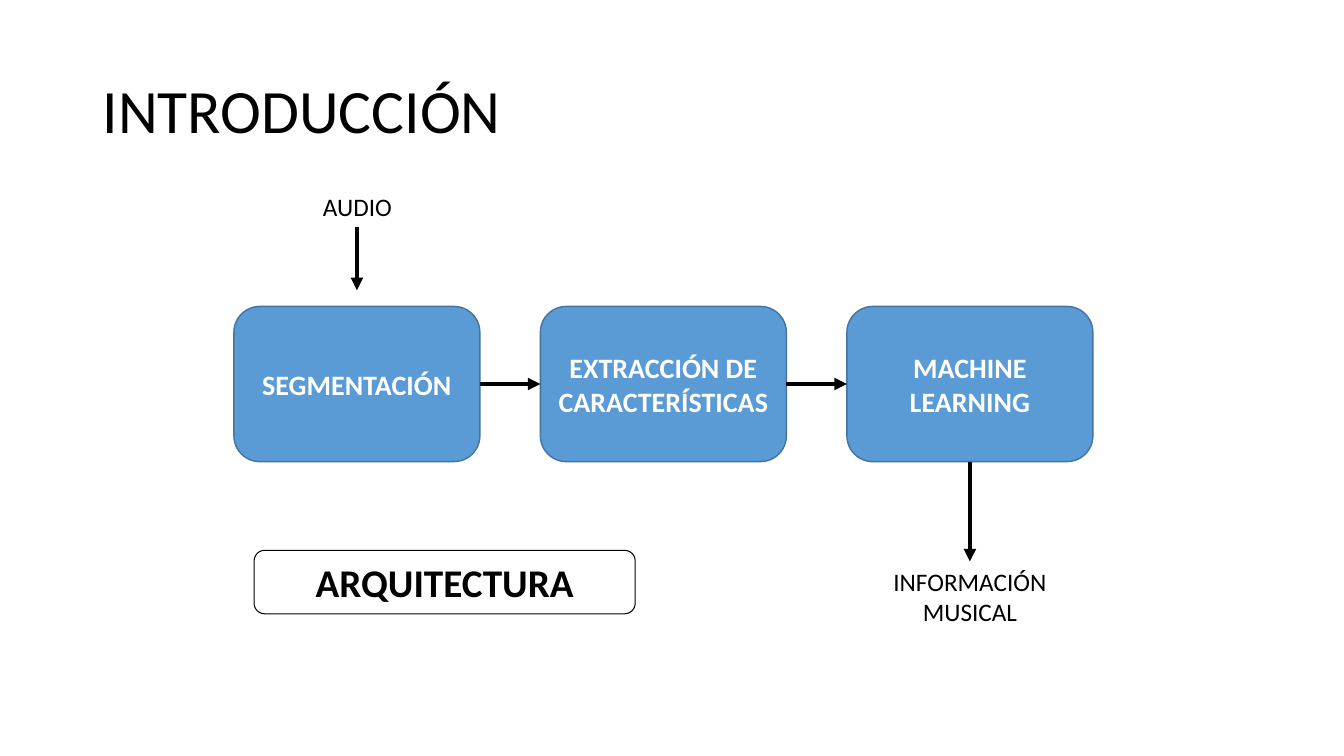
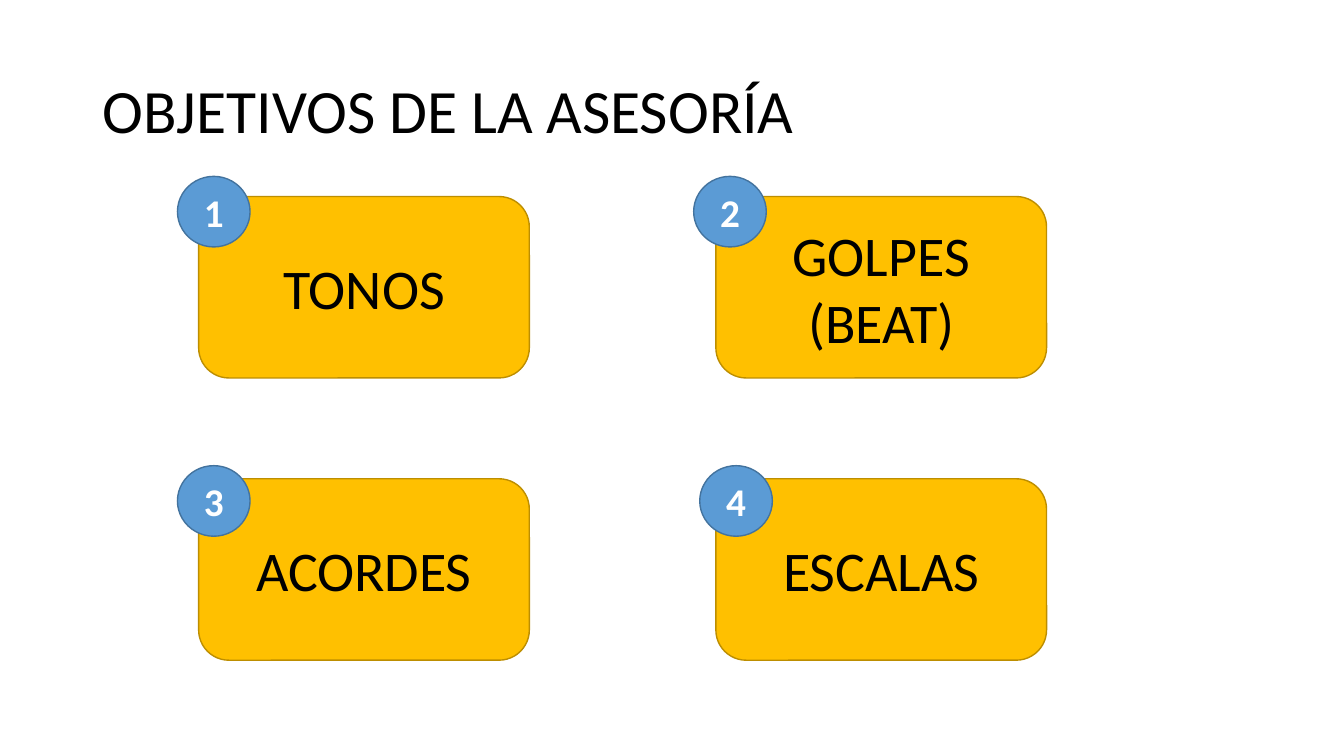
from dataclasses import dataclass
from typing import Optional

from lxml.etree import SubElement
from pptx import Presentation
from pptx.dml.color import RGBColor
from pptx.enum.shapes import MSO_CONNECTOR as Link, MSO_SHAPE as Form
from pptx.enum.text import MSO_ANCHOR as Anchor, PP_ALIGN as Align
from pptx.oxml.ns import qn
from pptx.util import Inches, Pt

WIDE, HIGH = 13.33, 7.5
FONT = "Calibri"
BLACK, WHITE = "000000", "FFFFFF"
BLUE, NAVY = "5B9BD5", "43739E"
GOLD, BROWN = "FFC000", "BD8E00"


@dataclass(frozen=True)
class Box:
    left: float
    top: float
    width: float
    height: float

    @property
    def right(self) -> float:
        return self.left + self.width

    @property
    def base(self) -> float:
        return self.top + self.height

    @property
    def mid(self) -> float:
        return self.left + self.width / 2

    @property
    def half(self) -> float:
        return self.top + self.height / 2

    def inches(self) -> list:
        return [Inches(n) for n in (self.left, self.top, self.width, self.height)]


@dataclass(frozen=True)
class Grid:
    left: float
    top: float
    width: float
    height: float
    gap: float
    drop: float = 0

    def cell(self, col: int, row: int = 0) -> Box:
        return Box(self.left + col * (self.width + self.gap),
                   self.top + row * (self.height + self.drop),
                   self.width, self.height)


@dataclass(frozen=True)
class Goal:
    text: str
    col: int
    row: int
    shift: float
    rise: float


TITLE = Box(0.92, 0.4, 11.5, 1.45)
FLOW = Grid(2.32, 3.04, 2.44, 1.54, gap=0.6)
CARDS = Grid(1.97, 1.95, 3.28, 1.8, gap=1.85, drop=1)
STEPS = ("SEGMENTACIÓN", "EXTRACCIÓN DE CARACTERÍSTICAS", "MACHINE LEARNING")
GOALS = (
    Goal("TONOS", 0, 0, 0.21, 0.2),
    Goal("GOLPES (BEAT)", 1, 0, 0.22, 0.2),
    Goal("ACORDES", 0, 1, 0.21, 0.13),
    Goal("ESCALAS", 1, 1, 0.16, 0.13),
)


def paint(code: str) -> RGBColor:
    return RGBColor.from_string(code)


def write(shape, text: str, *, size: float, color: str = BLACK,
          bold: bool = False, align=Align.CENTER, anchor=Anchor.MIDDLE,
          space: float = 1) -> None:
    frame = shape.text_frame
    frame.word_wrap = True
    frame.vertical_anchor = anchor
    para = frame.paragraphs[0]
    para.alignment = align
    para.line_spacing = space
    run = para.add_run()
    run.text = text
    font = run.font
    font.name, font.size, font.bold = FONT, Pt(size), bold
    font.color.rgb = paint(color)


def label(slide, box: Box, text: str, **style) -> None:
    write(slide.shapes.add_textbox(*box.inches()), text, **style)


def block(slide, form, box: Box, text: str, *, fill: Optional[str] = None,
          edge: str = BLACK, weight: float = 1, **style) -> None:
    shape = slide.shapes.add_shape(form, *box.inches())
    shape.shadow.inherit = False
    if fill:
        shape.fill.solid()
        shape.fill.fore_color.rgb = paint(fill)
    else:
        shape.fill.background()
    shape.line.color.rgb = paint(edge)
    shape.line.width = Pt(weight)
    write(shape, text, **style)


def arrow(slide, x: float, y: float, across: float = 0, down: float = 0) -> None:
    ends = [Inches(n) for n in (x, y, x + across, y + down)]
    line = slide.shapes.add_connector(Link.STRAIGHT, *ends)
    line.line.color.rgb = paint(BLACK)
    line.line.width = Pt(3)
    SubElement(line.line._get_or_add_ln(), qn("a:tailEnd"), type="triangle")
    SubElement(line._element.spPr, qn("a:effectLst"))


def start(deck, title: str):
    slide = deck.slides.add_slide(deck.slide_layouts[6])
    label(slide, TITLE, title, size=44, align=Align.LEFT, space=0.9)
    return slide


def intro(deck) -> None:
    slide = start(deck, "INTRODUCCIÓN")
    cells = [FLOW.cell(col) for col in range(len(STEPS))]
    for cell, text in zip(cells, STEPS):
        block(slide, Form.ROUNDED_RECTANGLE, cell, text, fill=BLUE, edge=NAVY,
              size=20, color=WHITE, bold=True)
    for cell in cells[:-1]:
        arrow(slide, cell.right, cell.half, across=FLOW.gap)

    first, last = cells[0], cells[-1]
    source = Box(first.mid - 0.69, 1.85, 1.39, 0.4)
    label(slide, source, "AUDIO", size=18, anchor=Anchor.TOP)
    arrow(slide, first.mid, source.base, down=0.63)

    result = Box(last.mid - 0.96, 5.57, 1.92, 0.71)
    label(slide, result, "INFORMACIÓN MUSICAL", size=18, anchor=Anchor.TOP)
    arrow(slide, last.mid, last.base, down=result.top - last.base)

    block(slide, Form.ROUNDED_RECTANGLE, Box(2.52, 5.46, 3.78, 0.63),
          "ARQUITECTURA", weight=0.75, size=28, bold=True, anchor=Anchor.TOP)


def goals(deck) -> None:
    slide = start(deck, "OBJETIVOS DE LA ASESORÍA")
    for rank, goal in enumerate(GOALS, 1):
        card = CARDS.cell(goal.col, goal.row)
        block(slide, Form.ROUNDED_RECTANGLE, card, goal.text, fill=GOLD,
              edge=BROWN, size=40)
        badge = Box(card.left - goal.shift, card.top - goal.rise, 0.72, 0.7)
        block(slide, Form.OVAL, badge, str(rank), fill=BLUE, edge=NAVY,
              size=28, color=WHITE, bold=True)


def main() -> None:
    deck = Presentation()
    deck.slide_width, deck.slide_height = Inches(WIDE), Inches(HIGH)
    intro(deck)
    goals(deck)
    deck.save("out.pptx")


if __name__ == "__main__":
    main()
